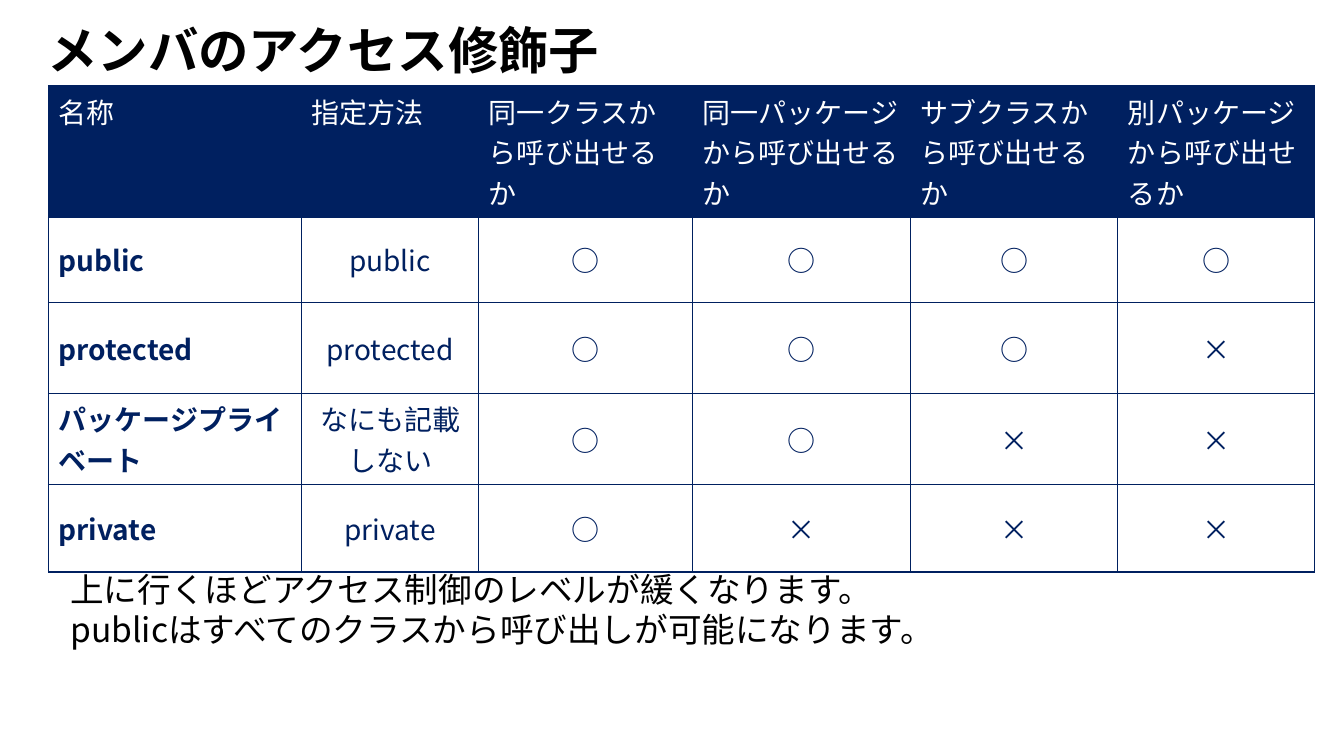
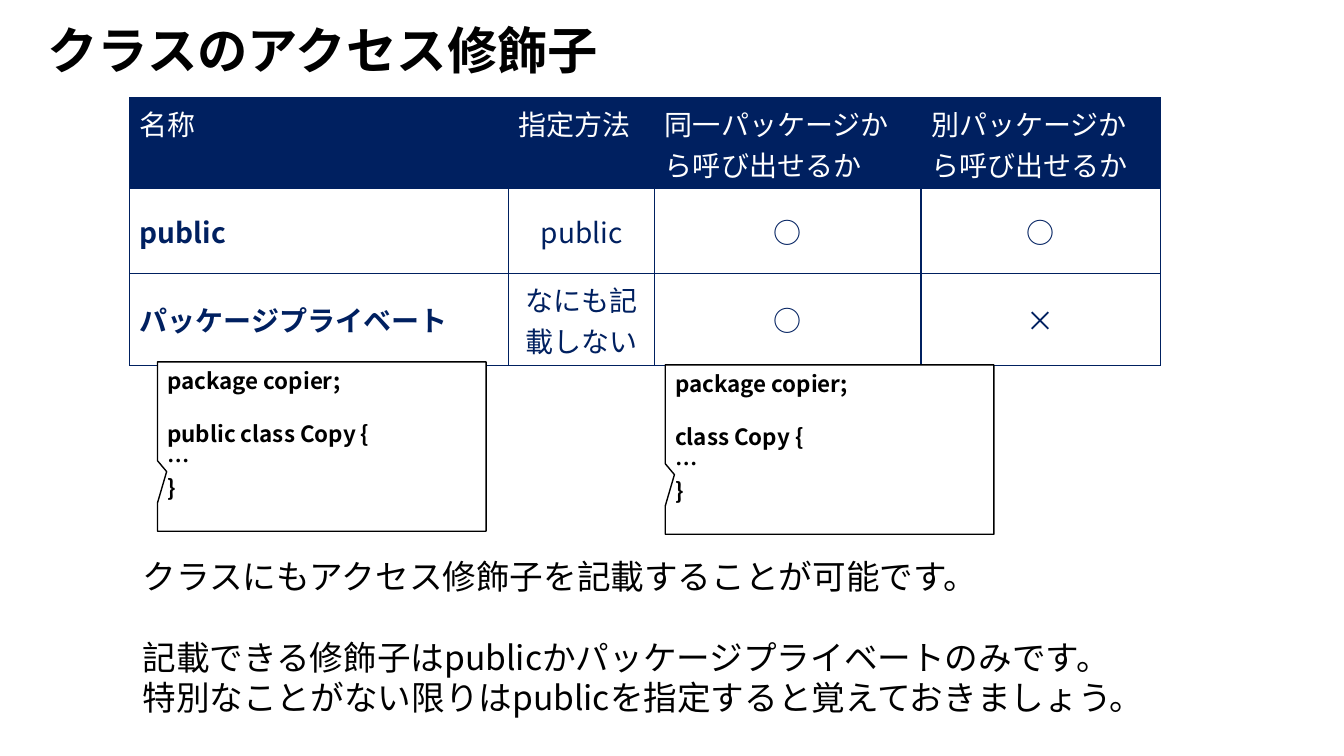
from lxml.etree import SubElement
from pptx import Presentation
from pptx.dml.color import RGBColor
from pptx.enum.shapes import MSO_SHAPE
from pptx.enum.text import MSO_ANCHOR, PP_ALIGN
from pptx.oxml.ns import qn
from pptx.util import Inches, Pt

FONT = "Noto Sans CJK JP"
COLORS = {"navy": "002060", "white": "FFFFFF", "black": "000000"}
WIDTH, HEIGHT = Inches(13.33), Inches(7.5)

STYLES = {
    "title": {"color": "black", "font": {"size": Pt(36), "bold": True}, "para": {}},
    "body": {"color": "black", "font": {"size": Pt(24), "bold": False}, "para": {}},
    "code": {"color": "black", "font": {"size": Pt(16), "bold": True},
             "para": {"alignment": PP_ALIGN.LEFT}},
    "header": {"color": "white", "font": {"size": Pt(20), "bold": False}, "para": {}},
    "name": {"color": "navy", "font": {"size": Pt(20), "bold": True}, "para": {}},
    "value": {"color": "navy", "font": {"size": Pt(20), "bold": False},
              "para": {"alignment": PP_ALIGN.CENTER}},
}


def across(percent):
    """Turn a percentage of the slide's width into a length."""
    return int(WIDTH * percent / 100)


def down(percent):
    """Turn a percentage of the slide's height into a length."""
    return int(HEIGHT * percent / 100)


def place(left, top, width, height):
    """Turn four percentages into a position and a size."""
    return across(left), down(top), across(width), down(height)


def rgb(name):
    """Look up a named colour."""
    return RGBColor.from_string(COLORS[name])


def assign(target, values):
    """Set every attribute in a dict of format values."""
    for key, value in values.items():
        setattr(target, key, value)


def write(frame, lines, style_name, gap_before=None):
    """Write lines in one style, with an empty line's gap before one of them."""
    style = STYLES[style_name]
    size = style["font"]["size"]
    for index, line in enumerate(lines):
        para = frame.add_paragraph() if index else frame.paragraphs[0]
        assign(para, style["para"])
        if index == gap_before:
            para.space_before = Pt(size.pt * 1.2)
        span = para.add_run()
        span.text = line
        assign(span.font, {"name": FONT, **style["font"]})
        span.font.color.rgb = rgb(style["color"])
        SubElement(span.font._element, qn("a:ea"), typeface=FONT)


def add_text(page, position, lines, style_name, gap_before=None):
    """Add a wrapping text box."""
    box = page.shapes.add_textbox(*place(*position))
    box.text_frame.word_wrap = True
    write(box.text_frame, lines, style_name, gap_before)


def add_page(deck, title):
    """Add a blank slide with the shared title."""
    page = deck.slides.add_slide(deck.slide_layouts[6])
    add_text(page, (2.78, 1.87, 48.5, 9.47), [title], "title")
    return page


def add_borders(cell):
    """Draw a thin navy line on all four sides of a cell."""
    properties = cell._tc.get_or_add_tcPr()
    for side in ("lnL", "lnR", "lnT", "lnB"):
        line = SubElement(properties, qn(f"a:{side}"), w=str(Pt(1)))
        fill = SubElement(line, qn("a:solidFill"))
        SubElement(fill, qn("a:srgbClr"), val=COLORS["navy"])


def add_access_table(page, left, top, widths, heights, rows):
    """Add a table with a navy header, bold names and centred values."""
    position = place(left, top, sum(widths), sum(heights))
    table = page.shapes.add_table(len(rows), len(widths), *position).table
    table.horz_banding = False
    for column, width in zip(table.columns, widths):
        column.width = across(width)
    for row, height in zip(table.rows, heights):
        row.height = down(height)
    for row_index, texts in enumerate(rows):
        for column_index, text in enumerate(texts):
            cell = table.cell(row_index, column_index)
            is_header = row_index == 0
            add_borders(cell)
            cell.fill.solid()
            cell.fill.fore_color.rgb = rgb("navy" if is_header else "white")
            cell.vertical_anchor = MSO_ANCHOR.TOP if is_header else MSO_ANCHOR.MIDDLE
            body_style = "value" if column_index else "name"
            write(cell.text_frame, [text], "header" if is_header else body_style)


def add_code_callout(page, left, top, declaration):
    """Add a callout that shows a class declaration."""
    box = page.shapes.add_shape(MSO_SHAPE.RECTANGULAR_CALLOUT, *place(left, top, 24.45, 22.4))
    box.adjustments[0], box.adjustments[1] = -0.472, 0.148
    box.shadow.inherit = False
    box.fill.solid()
    box.fill.fore_color.rgb = rgb("white")
    box.line.color.rgb = rgb("black")
    box.line.width = Pt(1)
    assign(box.text_frame, {"word_wrap": True, "vertical_anchor": MSO_ANCHOR.TOP})
    write(box.text_frame, ["package copier;", declaration, "…", "}"], "code", gap_before=1)


def add_member_page(deck):
    """Build the slide on access modifiers of members."""
    page = add_page(deck, "メンバのアクセス修飾子")
    add_access_table(page, 3.6, 11.33, [18.83, 13.2, 15.9, 16.2, 15.45, 14.63],
                     [17.4, 11.25, 12.05, 12.05, 11.6], [
        ["名称", "指定方法", "同一クラスから呼び出せるか", "同一パッケージから呼び出せるか",
         "サブクラスから呼び出せるか", "別パッケージから呼び出せるか"],
        ["public", "public", *"○○○○"],
        ["protected", "protected", *"○○○×"],
        ["パッケージプライベート", "なにも記載しない", *"○○××"],
        ["private", "private", *"○×××"],
    ])
    add_text(page, (4.5, 74.53, 84.5, 12.13), [
        "上に行くほどアクセス制御のレベルが緩くなります。",
        "publicはすべてのクラスから呼び出しが可能になります。",
    ], "body")


def add_class_page(deck):
    """Build the slide on access modifiers of classes."""
    page = add_page(deck, "クラスのアクセス修飾子")
    add_access_table(page, 9.65, 12.93, [28.2, 10.88, 19.8, 17.85], [12, 11.25, 12.15], [
        ["名称", "指定方法", "同一パッケージから呼び出せるか", "別パッケージから呼び出せるか"],
        ["public", "public", *"○○"],
        ["パッケージプライベート", "なにも記載しない", *"○×"],
    ])
    add_text(page, (9.87, 72.93, 84.5, 22.93), [
        "クラスにもアクセス修飾子を記載することが可能です。",
        "記載できる修飾子はpublicかパッケージプライベートのみです。",
        "特別なことがない限りはpublicを指定すると覚えておきましょう。",
    ], "body", gap_before=1)
    add_code_callout(page, 11.72, 47.87, "public class Copy {")
    add_code_callout(page, 49.5, 48.27, "class Copy {")


def main():
    """Build and save the deck."""
    deck = Presentation()
    assign(deck, {"slide_width": WIDTH, "slide_height": HEIGHT})
    add_member_page(deck)
    add_class_page(deck)
    deck.save("out.pptx")


if __name__ == "__main__":
    main()
